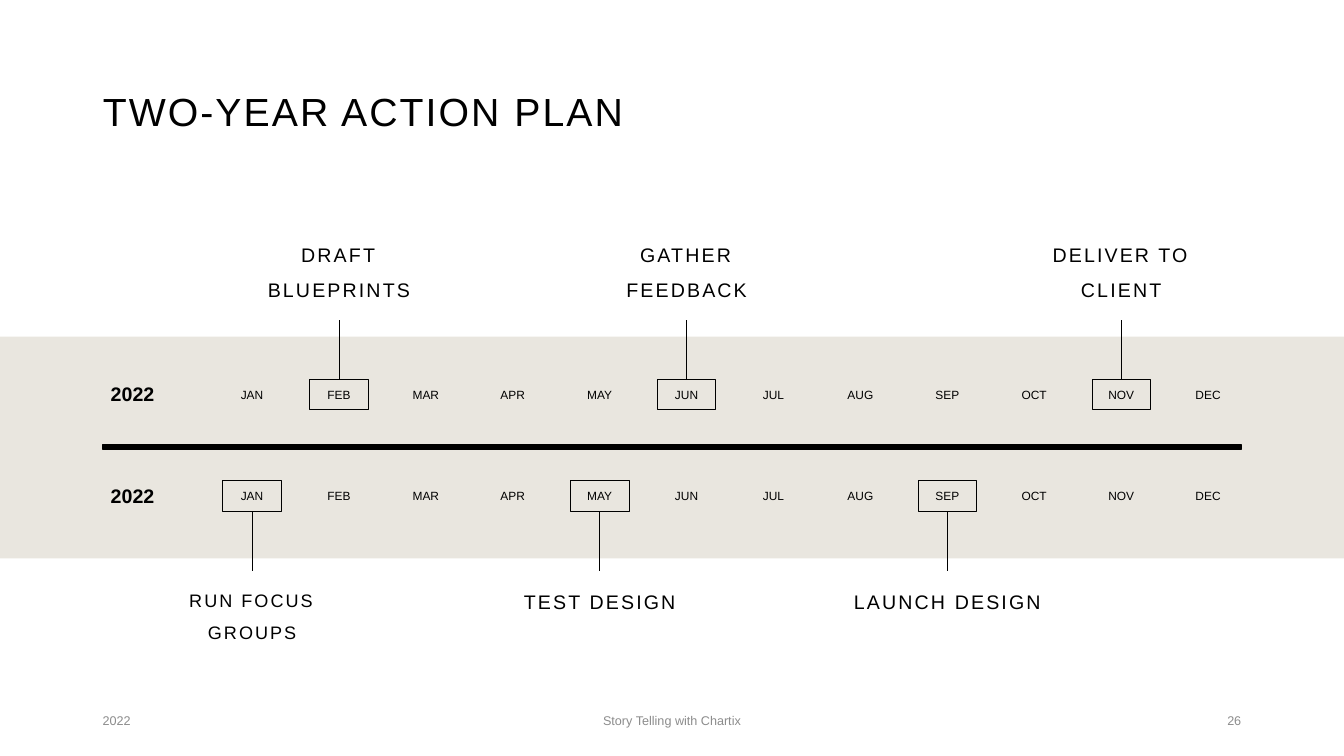
from pptx import Presentation
from pptx.dml.color import RGBColor
from pptx.enum.shapes import MSO_CONNECTOR, MSO_SHAPE
from pptx.enum.text import MSO_ANCHOR, MSO_AUTO_SIZE, PP_ALIGN
from pptx.oxml.ns import qn
from pptx.util import Inches, Pt
from lxml import etree

LEFT, CENTER, RIGHT = PP_ALIGN.LEFT, PP_ALIGN.CENTER, PP_ALIGN.RIGHT
TOP, MIDDLE, BOTTOM = MSO_ANCHOR.TOP, MSO_ANCHOR.MIDDLE, MSO_ANCHOR.BOTTOM
RECT, STRAIGHT = MSO_SHAPE.RECTANGLE, MSO_CONNECTOR.STRAIGHT

# Content
TITLE = "TWO-YEAR ACTION PLAN"
MONTHS = "JAN FEB MAR APR MAY JUN JUL AUG SEP OCT NOV DEC".split()
YEARS = [
    {"label": "2022", "above": True, "milestones": [
        ("FEB", "DRAFT BLUEPRINTS", "callout"),
        ("JUN", "GATHER FEEDBACK", "callout"),
        ("NOV", "DELIVER TO CLIENT", "callout")]},
    {"label": "2022", "above": False, "milestones": [
        ("JAN", "RUN FOCUS GROUPS", "callout_small"),
        ("MAY", "TEST DESIGN", "callout"),
        ("SEP", "LAUNCH DESIGN", "callout")]},
]
FOOTER = [("2022", LEFT, 3), ("Story Telling with Chartix", CENTER, 4.5), ("26", RIGHT, 3)]

# Theme
INK, BAND, GREY = (RGBColor.from_string(c) for c in ("000000", "E9E6DF", "8C8C8C"))
THEME = {
    "font": "Arial",
    "title": {"size": 28, "color": INK, "spacing": 0.9, "tracking": 150},
    "callout": {"size": 14, "color": INK, "spacing": 1.5, "tracking": 150},
    "callout_small": {"size": 12.9, "color": INK, "spacing": 1.5, "tracking": 150},
    "year": {"size": 14, "color": INK, "spacing": 0.9, "bold": True},
    "month": {"size": 8.5, "color": INK, "spacing": 0.7},
    "footer": {"size": 9, "color": GREY, "spacing": 1.0},
}

# Grid, in inches
WIDTH, HEIGHT = 13.33, 7.5
MARGIN = 0.92
INNER = WIDTH - 2 * MARGIN
FIRST_MONTH, MONTH_PITCH = 2.5, 0.862
FIRST_ROW, ROW_PITCH = 3.91, 1.01
BOX_W, BOX_H = 0.58, 0.3
STEM = 0.59
CALLOUT_W, CALLOUT_H = 2.25, 0.61


def inches(*values):
    return [Inches(v) for v in values]


def write(shape, text, style, align=LEFT, anchor=TOP):
    look = THEME[style]
    tf = shape.text_frame
    for name, value in {"word_wrap": True, "auto_size": MSO_AUTO_SIZE.NONE,
                        "vertical_anchor": anchor}.items():
        setattr(tf, name, value)
    p = tf.paragraphs[0]
    p.alignment, p.line_spacing = align, look["spacing"]
    r = p.add_run()
    r.text = text
    for name, value in {"name": THEME["font"], "size": Pt(look["size"]),
                        "bold": look.get("bold", False)}.items():
        setattr(r.font, name, value)
    r.font.color.rgb = look["color"]
    if "tracking" in look:
        r.font._element.set("spc", str(look["tracking"]))


def add_text(s, box, *args):
    write(s.shapes.add_textbox(*inches(*box)), *args)


def add_rect(s, box, fill=None, line=None):
    sp = s.shapes.add_shape(RECT, *inches(*box))
    sp.shadow.inherit = False
    if fill is None:
        sp.fill.background()
    else:
        sp.fill.solid()
        sp.fill.fore_color.rgb = fill
    if line is None:
        sp.line.fill.background()
    else:
        sp.line.color.rgb, sp.line.width = INK, Pt(line)


def add_stem(s, x, y1, y2):
    line = s.shapes.add_connector(STRAIGHT, *inches(x, y1, x, y2))
    line.line.color.rgb, line.line.width = INK, Pt(0.5)
    etree.SubElement(line._element.spPr, qn("a:effectLst"))


def add_year(s, year, y):
    add_text(s, (1, y + 0.01 - 0.25, 0.8, 0.5), year["label"], "year", LEFT, MIDDLE)
    for i, month in enumerate(MONTHS):
        x = FIRST_MONTH + i * MONTH_PITCH
        add_text(s, (x - 0.35, y - 0.08, 0.7, 0.22), month, "month", CENTER)

    # Milestones: boxed month, stem and callout
    side, anchor = (-1, BOTTOM) if year["above"] else (1, TOP)
    for month, text, style in year["milestones"]:
        x = FIRST_MONTH + MONTHS.index(month) * MONTH_PITCH
        edge = y + side * BOX_H / 2
        tip = edge + side * STEM
        near = tip + side * (0.13 if year["above"] else 0.03)
        top = near - CALLOUT_H if year["above"] else near
        add_stem(s, x, edge, tip)
        add_rect(s, (x - BOX_W / 2, y - BOX_H / 2, BOX_W, BOX_H), line=0.5)
        add_text(s, (x - CALLOUT_W / 2, top, CALLOUT_W, CALLOUT_H),
                 text, style, CENTER, anchor)


def main():
    prs = Presentation()
    prs.slide_width, prs.slide_height = inches(WIDTH, HEIGHT)
    s = prs.slides.add_slide(prs.slide_layouts[5])

    # Title
    title = s.shapes.title
    title.left, title.top, title.width, title.height = inches(MARGIN, 0.4, INNER, 1.45)
    write(title, TITLE, "title", LEFT, MIDDLE)

    # Band and dividing bar
    add_rect(s, (0, 3.34, WIDTH, 2.2), fill=BAND)
    add_rect(s, (MARGIN + 0.1, 4.41, INNER - 0.2, 0.05), fill=INK, line=1)

    # Year rows
    for row, year in enumerate(YEARS):
        add_year(s, year, FIRST_ROW + row * ROW_PITCH)

    # Footer
    share = {LEFT: 0, CENTER: 0.5, RIGHT: 1}
    for text, align, width in FOOTER:
        x = MARGIN + share[align] * (INNER - width)
        add_text(s, (x, 6.95, width, 0.4), text, "footer", align, MIDDLE)

    prs.save("out.pptx")


if __name__ == "__main__":
    main()
